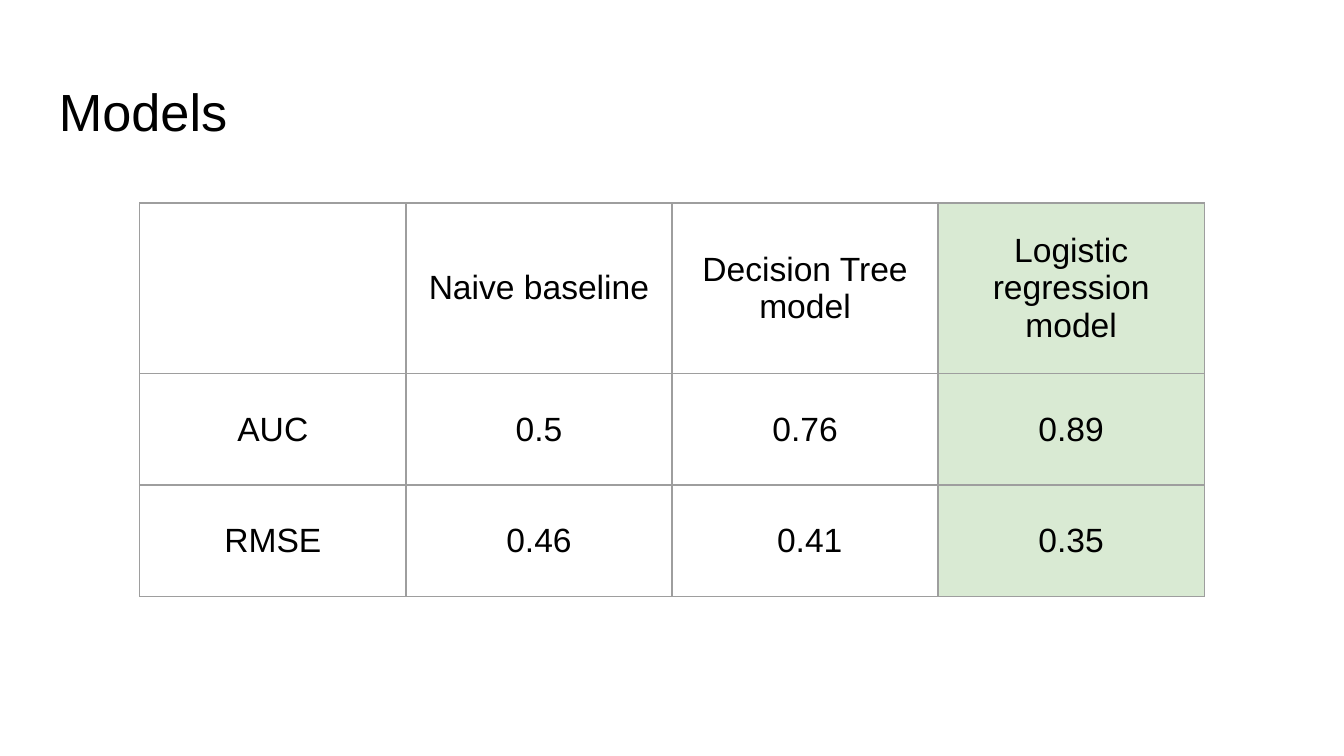
from lxml import etree
from pptx import Presentation
from pptx import util as u
from pptx.dml.color import RGBColor
from pptx.enum import text
from pptx.oxml import ns

BLACK = RGBColor(0x00, 0x00, 0x00)
WHITE = RGBColor(0xFF, 0xFF, 0xFF)
GREY = RGBColor(0x9E, 0x9E, 0x9E)
GREEN = RGBColor(0xD9, 0xEA, 0xD3)

SCORES = [
    ["", "Naive baseline", "Decision Tree model", "Logistic regression model"],
    ["AUC", "0.5", "0.76", "0.89"],
    ["RMSE", "0.46", " 0.41", "0.35"],
]
BEST = 3


class Deck:
    """Holds the style and the current slide."""

    font = "Arial"
    inset = u.Inches(0.1)
    border = u.Pt(0.75)

    def __init__(self, width, height):
        self.prs = Presentation()
        self.prs.slide_width = u.Inches(width)
        self.prs.slide_height = u.Inches(height)
        self.s = self.prs.slides.add_slide(self.prs.slide_layouts[6])
        self.s.background.fill.solid()
        self.s.background.fill.fore_color.rgb = WHITE

    def box(self, x, y, w, h):
        width, height = self.prs.slide_width, self.prs.slide_height
        return [round(n) for n in (x * width, y * height, w * width, h * height)]

    def style(self, holder, tf, size, align):
        holder.margin_left = holder.margin_right = self.inset
        holder.margin_top = holder.margin_bottom = self.inset
        for p in tf.paragraphs:
            p.alignment = align
            for r in p.runs:
                r.font.name = self.font
                r.font.size = u.Pt(size)
                r.font.color.rgb = BLACK

    def title(self, words, x, y, w, h):
        tf = self.s.shapes.add_textbox(*self.box(x, y, w, h)).text_frame
        tf.word_wrap = True
        tf.text = words
        self.style(tf, tf, 28, text.PP_ALIGN.LEFT)

    def outline(self, cell):
        tc_pr = cell._tc.get_or_add_tcPr()
        for i, side in enumerate(("lnL", "lnR", "lnT", "lnB")):
            ln = etree.Element(ns.qn(f"a:{side}"), w=str(self.border))
            fill = etree.SubElement(ln, ns.qn("a:solidFill"))
            etree.SubElement(fill, ns.qn("a:srgbClr"), val=str(GREY))
            tc_pr.insert(i, ln)

    def table(self, rows, x, y, w, heights, best):
        box = self.box(x, y, w, sum(heights))
        table = self.s.shapes.add_table(len(rows), len(rows[0]), *box).table
        table.first_row = table.horz_banding = False
        for row, share in zip(table.rows, heights):
            row.height = round(share * self.prs.slide_height)
        for i, row in enumerate(rows):
            for j, words in enumerate(row):
                cell = table.cell(i, j)
                cell.text_frame.text = words
                cell.vertical_anchor = text.MSO_ANCHOR.MIDDLE
                self.style(cell, cell.text_frame, 18, text.PP_ALIGN.CENTER)
                if j == best:
                    cell.fill.solid()
                    cell.fill.fore_color.rgb = GREEN
                else:
                    cell.fill.background()
                self.outline(cell)


def main():
    width = 10
    height = width * 9 / 16
    deck = Deck(width, height)
    deck.title("Models", 0.34 / width, 0.49 / height, 9.32 / width, 0.63 / height)
    heights = [h / height for h in (1.27, 0.83, 0.83)]
    deck.table(SCORES, 1.04 / width, 1.51 / height, 7.92 / width, heights, BEST)
    deck.prs.save("out.pptx")


if __name__ == "__main__":
    main()
